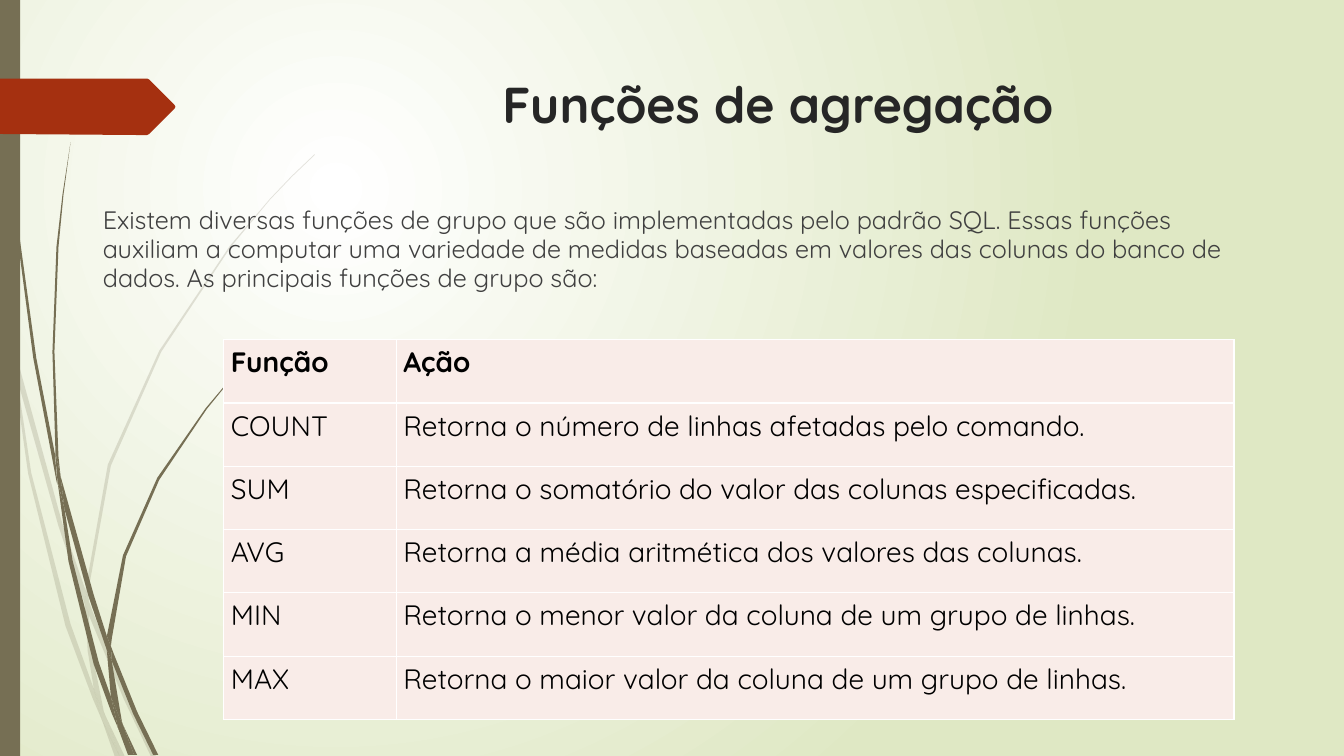
from dataclasses import dataclass

from pptx import Presentation
from pptx import util as u
from pptx.dml.color import RGBColor
from pptx.enum import shapes, text
from pptx.oxml import parse_xml
from pptx.oxml.ns import nsdecls, qn
from pptx.oxml.xmlchemy import OxmlElement


@dataclass(frozen=True)
class Theme:
    font: str = "Quicksand"
    title_size: int = 36
    body_size: int = 18
    table_size: int = 20
    title: str = "262626"
    body: str = "404040"
    cell_text: str = "000000"
    cell: str = "F9ECE8"
    border: str = "FFFFFF"
    grass: str = "766F54"
    arrow: str = "A53010"
    glow: str = "FFFFFF"
    backdrop: str = "DFE8C4"


# Grass outlines, as x, y pairs in hundredths of an inch
FADED_GRASS = [
    "11,350 9,322 0,282 0,299 10,344",
    "58,522 84,599 85,586 62,520 14,345 17,376",
    "92,607 88,596 88,610 123,694 150,751 155,751 127,692",
    "119,751 124,751 105,711",
    "93,683 70,619 31,469 17,376 11,350 28,470 65,621 92,693 101,714 99,707",
    "84,599 87,646 93,683 96,692 105,711 103,706 91,646 88,610 88,608",
    "88,584 110,462 160,349 229,245 268,198 290,175 312,154 312,153 289,175 268,197 "
    "228,244 158,348 107,461 85,584 85,586 88,596",
    "101,714 114,751 119,751",
    "88,608 88,610 88,596 85,586 84,599",
    "96,692 93,683 99,707 101,714 119,751 105,711",
]
DARK_GRASS = [
    "7,110 17,233 33,355 56,477 57,481 55,457 55,453 36,355 19,232 8,109 5,48 4,0 3,0 4,48",
    "88,592 106,645 106,633 106,631 93,590 60,472 64,505",
    "113,649 110,641 111,656 132,708 152,749 157,749 136,706",
    "110,691 98,657 72,556 64,505 57,477 68,557 93,659 111,708 117,722 116,717",
    "60,472 58,453 54,349 58,245 63,193 70,141 62,193 56,245 52,349 55,449",
    "133,749 136,749 122,719",
    "57,477 64,505 60,472 55,449 55,453",
    "111,633 125,552 158,476 205,406 231,374 245,359 261,344 260,344 245,358 231,373 "
    "204,405 156,474 122,551 106,631 110,641",
    "117,722 127,749 131,749",
    "106,645 110,691 116,706 122,719 121,716 111,656 109,651",
    "106,645 109,651 111,656 110,641 106,631 106,633",
    "116,706 110,691 116,717 117,722 130,749 133,749 122,719",
]
ARROW = "173,108 148,133 146,134 136,134 0,133 0,78 136,78 146,78 148,79 173,104 174,106"

FUNCTIONS = [
    ("Função", "Ação"),
    ("COUNT", "Retorna o número de linhas afetadas pelo comando."),
    ("SUM", "Retorna o somatório do valor das colunas especificadas."),
    ("AVG", "Retorna a média aritmética dos valores das colunas."),
    ("MIN", "Retorna o menor valor da coluna de um grupo de linhas."),
    ("MAX", "Retorna o maior valor da coluna de um grupo de linhas."),
]


def write(frame, words, *, font, size, color, bold=False, align=text.PP_ALIGN.LEFT,
          line_spacing=1.0):
    """Fill a text frame with one formatted paragraph, and return it."""
    frame.word_wrap = True
    paragraph = frame.paragraphs[0]
    paragraph.alignment = align
    paragraph.line_spacing = line_spacing
    run = paragraph.add_run()
    run.text = words
    run.font.name, run.font.size, run.font.bold = font, u.Pt(size), bold
    run.font.color.rgb = RGBColor.from_string(color)
    return paragraph


class SlideBuilder:
    def __init__(self, slide, theme):
        self.slide = slide
        self.theme = theme

    def background(self):
        fill = self.slide.background.fill
        fill.gradient()
        for stop, color in zip(fill.gradient_stops, (self.theme.glow, self.theme.backdrop)):
            stop.color.rgb = RGBColor.from_string(color)
        gradient = self.slide.element.find(".//" + qn("a:gradFill"))
        gradient.replace(gradient.find(qn("a:lin")), parse_xml(
            f'<a:path {nsdecls("a")} path="circle">'
            '<a:fillToRect l="50000" t="50000" r="100000" b="100000"/></a:path>'))

    def paint(self, shape, color, opacity=100):
        shape.shadow.inherit = False
        shape.fill.solid()
        shape.fill.fore_color.rgb = RGBColor.from_string(color)
        shape.line.fill.background()
        if opacity < 100:
            alpha = OxmlElement("a:alpha")
            alpha.set("val", str(opacity * 1000))
            shape.element.spPr.find(".//" + qn("a:srgbClr")).append(alpha)

    def outline(self, points, color, opacity=100, parent=None):
        corners = [tuple(map(int, pair.split(","))) for pair in points.split()]
        target = (parent or self.slide).shapes
        builder = target.build_freeform(*corners[0], scale=u.Inches(0.01))
        builder.add_line_segments(corners[1:], close=True)
        self.paint(builder.convert_to_shape(), color, opacity)

    def grass(self, outlines, opacity=100):
        group = self.slide.shapes.add_group_shape()
        for points in outlines:
            self.outline(points, self.theme.grass, opacity, group)

    def bar(self, left, top, width, height):
        shape = self.slide.shapes.add_shape(
            shapes.MSO_SHAPE.RECTANGLE, *map(u.Inches, (left, top, width, height)))
        self.paint(shape, self.theme.grass)

    def placeholder(self, index, words, left, top, width, height, **style):
        shape = self.slide.placeholders[index]
        shape.left, shape.top, shape.width, shape.height = map(
            u.Inches, (left, top, width, height))
        shape.element.getparent().append(shape.element)  # in front of the decoration
        frame = shape.text_frame
        frame.auto_size = text.MSO_AUTO_SIZE.NONE
        frame.vertical_anchor = text.MSO_ANCHOR.TOP
        return write(frame, words, font=self.theme.font, **style)

    def title(self, words, *box):
        self.placeholder(0, words, *box, size=self.theme.title_size, color=self.theme.title,
                         bold=True, align=text.PP_ALIGN.CENTER)

    def body(self, words, *box):
        paragraph = self.placeholder(1, words, *box, size=self.theme.body_size,
                                     color=self.theme.body, line_spacing=0.95)
        paragraph.space_before = u.Pt(10)
        properties = paragraph._p.get_or_add_pPr()
        properties.set("marL", "0")
        properties.set("indent", "0")
        properties.append(OxmlElement("a:buNone"))

    def table(self, rows, left, top, column_widths, height):
        frame = self.slide.shapes.add_table(
            len(rows), len(column_widths),
            *map(u.Inches, (left, top, sum(column_widths), height)))
        table = frame.table
        table.first_row = table.horz_banding = False
        for column, width in zip(table.columns, column_widths):
            column.width = u.Inches(width)
        for row_index, row in enumerate(rows):
            for column_index, words in enumerate(row):
                self.cell(table.cell(row_index, column_index), words, bold=row_index == 0)

    def cell(self, cell, words, bold):
        cell.margin_left = cell.margin_right = u.Inches(0.07)
        cell.margin_top = cell.margin_bottom = u.Inches(0.05)
        write(cell.text_frame, words, font=self.theme.font, size=self.theme.table_size,
              color=self.theme.cell_text, bold=bold)
        properties = cell._tc.get_or_add_tcPr()
        for side in ("lnL", "lnR", "lnT", "lnB"):
            properties.append(parse_xml(
                f'<a:{side} {nsdecls("a")} w="{u.Pt(1)}"><a:solidFill>'
                f'<a:srgbClr val="{self.theme.border}"/></a:solidFill></a:{side}>'))
        cell.fill.solid()
        cell.fill.fore_color.rgb = RGBColor.from_string(self.theme.cell)


def main():
    presentation = Presentation()
    presentation.slide_width, presentation.slide_height = u.Inches(13.33), u.Inches(7.5)
    slide = presentation.slides.add_slide(presentation.slide_layouts[1])
    theme = Theme()
    builder = SlideBuilder(slide, theme)

    # Decoration
    builder.background()
    builder.grass(FADED_GRASS, opacity=20)
    builder.grass(DARK_GRASS)
    builder.bar(0, 0, 0.2, 7.5)
    builder.outline(ARROW, theme.arrow)

    # Content
    builder.title("Funções de agregação", 2.84, 0.68, 9.75, 1.4)
    builder.body("Existem diversas funções de grupo que são implementadas pelo padrão SQL. "
                 "Essas funções auxiliam a computar uma variedade de medidas baseadas em "
                 "valores das colunas do banco de dados. As principais funções de grupo são:",
                 0.92, 2, 11.5, 1.95)
    builder.table(FUNCTIONS, 2.22, 3.37, (1.71, 8.31), 3.77)

    presentation.save("out.pptx")


if __name__ == "__main__":
    main()
